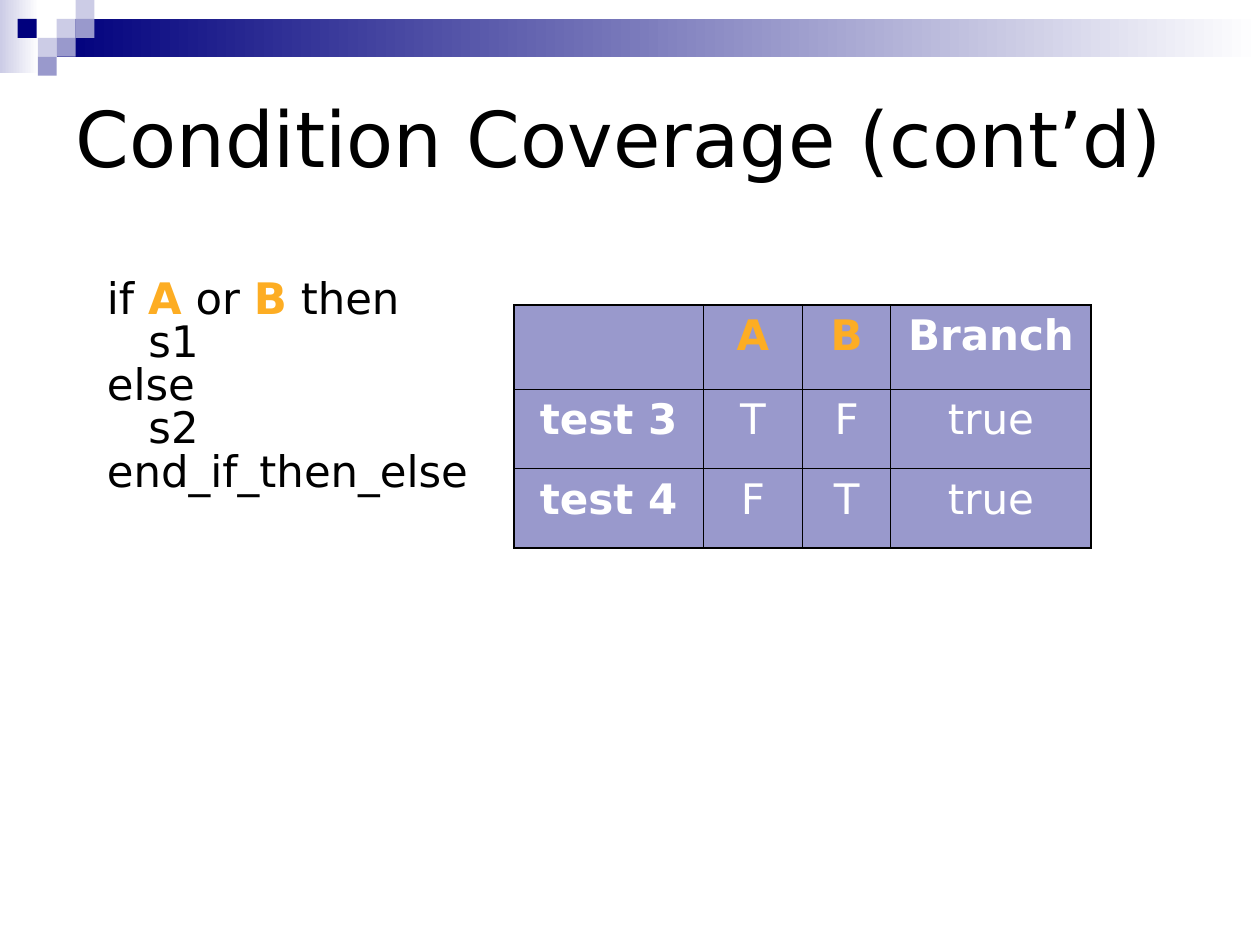
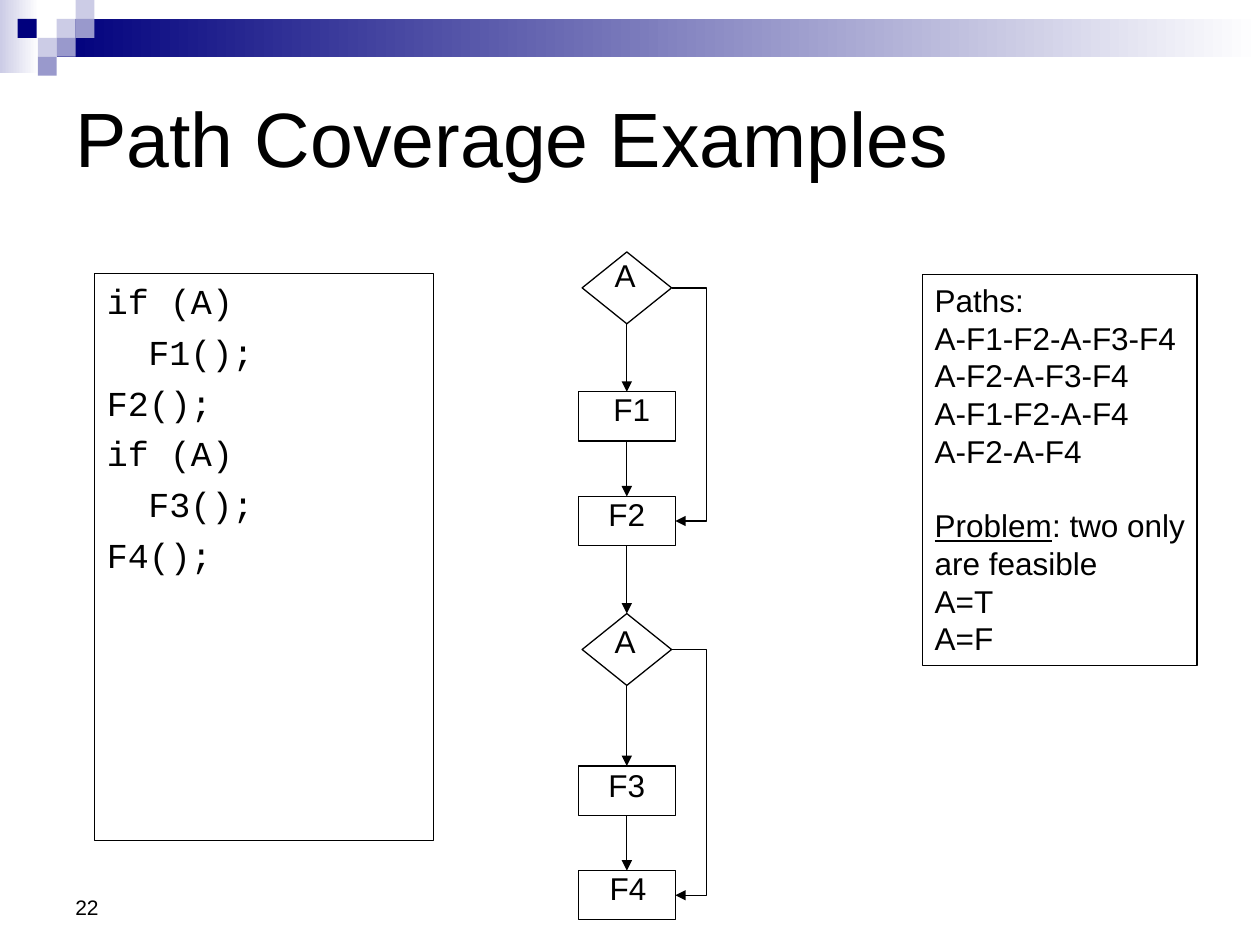
from pptx import Presentation
from pptx.dml.color import RGBColor
from pptx.enum.shapes import MSO_CONNECTOR, MSO_SHAPE
from pptx.enum.text import MSO_ANCHOR, PP_ALIGN
from pptx.oxml.ns import qn
from pptx.util import Inches, Pt
from lxml.etree import SubElement

BLACK, WHITE = "000000", "FFFFFF"
NAVY, LILAC, PALE, AMBER = "00007D", "9999CC", "CCCCE6", "FDAD23"
SANS, ARIAL, MONO = "DejaVu Sans", "Arial", "Courier New"
TOP, BOTTOM, RIGHT = 0, 2, 3  # connection sites


def color(code):
    return RGBColor.from_string(code)


def style(run, size, font, code=BLACK, bold=False):
    run.font.size = Pt(size)
    run.font.name = font
    run.font.bold = bold
    run.font.color.rgb = color(code)


def border(cell, side, width):
    line = SubElement(cell._tc.get_or_add_tcPr(), qn(f"a:ln{side}"), w=str(Pt(width)))
    fill = SubElement(line, qn("a:solidFill"))
    SubElement(fill, qn("a:srgbClr"), val=BLACK)


class Deck:
    """Holds the presentation, its style and the slide being built."""

    def __init__(self):
        self.prs = Presentation()
        self.prs.slide_width, self.prs.slide_height = Inches(10), Inches(7.5)
        self.slide = None

    def start(self, title, font):
        self.slide = self.prs.slides.add_slide(self.prs.slide_layouts[6])
        self.banner()
        self.text((0.5, 0.5, 9, 1.17), [title], 44, font, anchor=MSO_ANCHOR.MIDDLE)

    def banner(self):
        self.fade((0, 0, 0.31, 0.58), PALE)
        self.fade((0.45, 0.15, 9.55, 0.3), NAVY)
        tiles = [(0.45, 0.15, PALE), (0.6, 0, PALE), (0.6, 0.15, LILAC),
                 (0.3, 0.3, PALE), (0.14, 0.15, NAVY), (0.45, 0.3, LILAC),
                 (0.3, 0.45, LILAC)]
        for left, top, code in tiles:
            self.shape((left, top, 0.15, 0.15), fill=code)

    def shape(self, box, kind=MSO_SHAPE.RECTANGLE, fill=None, line=None):
        item = self.slide.shapes.add_shape(kind, *map(Inches, box))
        item.shadow.inherit = False
        if fill:
            item.fill.solid()
            item.fill.fore_color.rgb = color(fill)
        else:
            item.fill.background()
        if line:
            item.line.color.rgb = color(line)
            item.line.width = Pt(0.75)
        else:
            item.line.fill.background()
        return item

    def fade(self, box, code):
        """Draw a bar that fades from the colour to white, left to right."""
        bar = self.shape(box)
        bar.fill.gradient()
        bar.fill.gradient_angle = 0
        for stop, tone, place in zip(bar.fill.gradient_stops, (code, WHITE), (0, 1)):
            stop.color.rgb = color(tone)
            stop.position = place

    def text(self, box, lines, size, font, anchor=MSO_ANCHOR.TOP, wrap=True, framed=False):
        """Write one paragraph per line; a tuple is a line of several runs."""
        if framed:
            item = self.shape(box, line=BLACK)
        else:
            item = self.slide.shapes.add_textbox(*map(Inches, box))
        frame = item.text_frame
        frame.word_wrap = wrap
        frame.vertical_anchor = anchor
        for i, line in enumerate(lines):
            para = frame.add_paragraph() if i else frame.paragraphs[0]
            para.alignment = PP_ALIGN.LEFT
            for part in (line if isinstance(line, tuple) else (line,)):
                run = para.add_run()
                run.text = part
                style(run, size, font)
        return frame.paragraphs

    def indent(self, paras, depth):
        for para in paras:
            para._p.get_or_add_pPr().set("marL", str(Inches(depth)))

    def arrow(self, start, end, sites=(BOTTOM, TOP), lane=None):
        """Join two shapes; with a lane, go round by that x position."""
        kind = MSO_CONNECTOR.ELBOW if lane else MSO_CONNECTOR.STRAIGHT
        line = self.slide.shapes.add_connector(kind, 0, 0, 0, 0)
        line.begin_connect(start, sites[0])
        line.end_connect(end, sites[1])
        line.line.color.rgb = color(BLACK)
        line.line.width = Pt(0.75)
        props = line._element.spPr
        SubElement(props.find(qn("a:ln")), qn("a:tailEnd"), type="triangle")
        SubElement(props, qn("a:effectLst"))
        if lane:
            ratio = (Inches(lane) - line.begin_x) / (line.end_x - line.begin_x)
            guides = props.find(qn("a:prstGeom")).get_or_add_avLst()
            SubElement(guides, qn("a:gd"), name="adj1", fmla=f"val {round(ratio * 100000)}")

    def table(self, box, widths, heights, rows):
        grid = self.slide.shapes.add_table(len(rows), len(widths), *map(Inches, box)).table
        grid.first_row = grid.horz_banding = False
        for col, width in zip(grid.columns, widths):
            col.width = Inches(width)
        for row, height in zip(grid.rows, heights):
            row.height = Inches(height)
        for r, row in enumerate(rows):
            for c, word in enumerate(row):
                self.cell(grid.cell(r, c), word, r, c)
                edges = {"L": c == 0, "R": c == len(row) - 1,
                         "T": r == 0, "B": r == len(rows) - 1}
                for side, outer in edges.items():
                    border(grid.cell(r, c), side, 1.08 if outer else 0.45)
                grid.cell(r, c).fill.solid()
                grid.cell(r, c).fill.fore_color.rgb = color(LILAC)

    def cell(self, cell, word, r, c):
        cell.text_frame.text = word
        para = cell.text_frame.paragraphs[0]
        para.alignment = PP_ALIGN.CENTER
        para.space_before = para.space_after = Pt(6)
        for run in para.runs:
            code = AMBER if r == 0 and word in ("A", "B") else WHITE
            style(run, 24, SANS, code, bold=r == 0 or c == 0)


def condition(deck):
    deck.start("Condition Coverage (cont’d)", SANS)
    code = deck.text((0.75, 2.17, 3.08, 2.33),
                     [("if ", "A", " or ", "B", " then"), "s1", "else", "s2",
                      "end_if_then_else"], 24.8, SANS, wrap=False)
    for para in code:
        para.line_spacing = 0.83
    for run in code[0].runs[1::2]:
        style(run, 24.8, SANS, AMBER, bold=True)
    deck.indent((code[1], code[3]), 0.33)
    deck.table((4.08, 2.42, 4.58, 1.93), (1.5, 0.79, 0.7, 1.59), (0.67, 0.63, 0.63),
               [("", "A", "B", "Branch"),
                ("test 3", "T", "F", "true"),
                ("test 4", "F", "T", "true")])


def flow(deck):
    """Draw the flow chart: two tests, each able to skip the next call."""
    nodes = []
    # name, top of node, left and top of label
    for name, top, left, high in [("A", 2, 4.78, 1.98), ("F1", 3.11, 4.77, 3.05),
                                  ("F2", 3.94, 4.73, 3.88), ("A", 4.87, 4.78, 4.89),
                                  ("F3", 6.08, 4.73, 6.03), ("F4", 6.91, 4.74, 6.85)]:
        if name == "A":
            node = deck.shape((4.62, top, 0.71, 0.57), MSO_SHAPE.DIAMOND, line=BLACK)
        else:
            node = deck.shape((4.59, top, 0.77, 0.39), line=BLACK)
        nodes.append(node)
        width = 0.36 if name == "A" else 0.49
        deck.text((left, high, width, 0.4), [name], 18, ARIAL, wrap=False)
    for start, end in zip(nodes, nodes[1:]):
        deck.arrow(start, end)
    for test in (0, 3):
        deck.arrow(nodes[test], nodes[test + 2], (RIGHT, RIGHT), lane=5.61)


def routes(deck):
    deck.start("Path Coverage Examples", ARIAL)
    deck.text((0.5, 6.83, 2.33, 0.52), ["22"], 12, ARIAL, anchor=MSO_ANCHOR.BOTTOM)
    code = deck.text((0.75, 2.17, 2.69, 4.5),
                     ["if (A)", "F1();", "F2();", "if (A)", "F3();", "F4();"],
                     20, MONO, framed=True)
    for para in code:
        para.space_before = Pt(5)
    deck.indent(code[1::3], 0.33)
    flow(deck)
    notes = deck.text((7.32, 2.18, 2.18, 3.1),
                      ["Paths:", "A-F1-F2-A-F3-F4", "A-F2-A-F3-F4", "A-F1-F2-A-F4",
                       "A-F2-A-F4", ("Problem", ": two only"), "are feasible",
                       "A=T", "A=F"], 18, ARIAL, wrap=False, framed=True)
    notes[5].space_before = Pt(20.7)
    notes[5].runs[0].font.underline = True


def main():
    deck = Deck()
    condition(deck)
    routes(deck)
    deck.prs.save("out.pptx")


if __name__ == "__main__":
    main()
